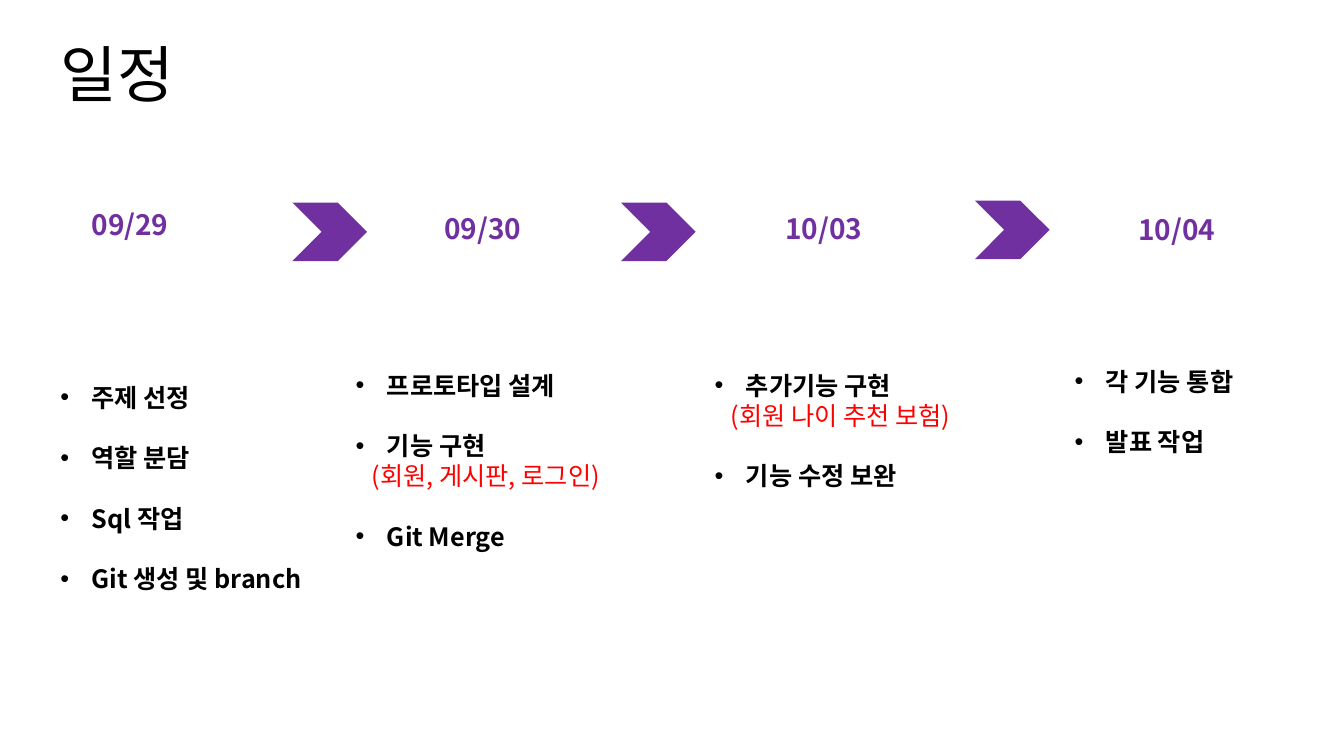
from lxml import etree
from pptx import Presentation
from pptx.dml import color
from pptx.enum import shapes, text
from pptx.oxml import ns
from pptx.util import Inches, Pt

FONT = "Noto Sans CJK KR"
PURPLE, BLACK, RED = "7030A0", "000000", "FF0000"
HANG = 0.31
NOTE_INDENT = 0.16

# Date, its left and top
DATES = [
    ("09/29", 0.81, 2.01),
    ("09/30", 4.31, 2.05),
    ("10/03", 7.69, 2.05),
    ("10/04", 11.19, 2.06),
]
# Left and top of each chevron
CHEVRONS = [(2.9, 2.01), (6.16, 2.01), (9.67, 1.99)]
# Left, top and height of each list, then its tasks with an optional note
TASKS = [
    (0.5, 3.74, 3.13, [("주제 선정", None), ("역할 분담", None),
                       ("Sql 작업", None), ("Git 생성 및 branch", None)]),
    (3.43, 3.62, 2.52, [("프로토타입 설계", None),
                        ("기능 구현", "(회원, 게시판, 로그인)"),
                        ("Git Merge", None)]),
    (6.99, 3.62, 2.83, [("추가기능 구현", "(회원 나이 추천 보험)"),
                        ("기능 수정 보완", None)]),
    (10.56, 3.58, 1.01, [("각 기능 통합", None), ("발표 작업", None)]),
]


def rgb(value):
    return color.RGBColor.from_string(value)


def write(para, words, size=18, ink=BLACK, bold=False, spacing=None):
    """Add a formatted run; lines are 1.2 times the size unless given."""
    para.line_spacing = spacing or Pt(size * 1.2)
    span = para.add_run()
    span.text = words
    span.font.name = FONT
    span.font.size = Pt(size)
    span.font.bold = bold
    span.font.color.rgb = rgb(ink)
    east_asian = etree.SubElement(span.font._element, ns.qn("a:ea"))
    east_asian.set("typeface", FONT)


def indent(para, margin, first=0.0, bullet=None):
    properties = para._p.get_or_add_pPr()
    properties.set("marL", str(Inches(margin)))
    properties.set("indent", str(Inches(first)))
    if bullet:
        face = etree.SubElement(properties, ns.qn("a:buFont"))
        face.set("typeface", "Arial")
        mark = etree.SubElement(properties, ns.qn("a:buChar"))
        mark.set("char", bullet)


def add_frame(page, left, top, width, height):
    box = page.shapes.add_textbox(Inches(left), Inches(top),
                                  Inches(width), Inches(height))
    box.text_frame.word_wrap = True
    return box.text_frame


def add_title(page, words):
    title = page.shapes.title
    title.left, title.top = Inches(0.5), Inches(0.3)
    title.width, title.height = Inches(9.78), Inches(0.93)
    frame = title.text_frame
    frame.vertical_anchor = text.MSO_ANCHOR.MIDDLE
    para = frame.paragraphs[0]
    para.alignment = text.PP_ALIGN.LEFT
    write(para, words, size=44, spacing=0.9)


def add_date(page, words, left, top):
    frame = add_frame(page, left, top, 3.24, 0.44)
    write(frame.paragraphs[0], words, size=20, ink=PURPLE, bold=True)


def add_chevron(page, left, top):
    chevron = page.shapes.add_shape(shapes.MSO_SHAPE.CHEVRON, Inches(left),
                                    Inches(top), Inches(0.74), Inches(0.58))
    chevron.shadow.inherit = False
    chevron.fill.solid()
    chevron.fill.fore_color.rgb = rgb(PURPLE)
    chevron.line.fill.background()


def add_tasks(page, left, top, height, tasks):
    frame = add_frame(page, left, top, 3.14, height)
    for number, (task, note) in enumerate(tasks):
        para = frame.add_paragraph() if number else frame.paragraphs[0]
        write(para, task, bold=True)
        if number:
            para.space_before = Pt(21.6)
        indent(para, HANG, -HANG, "•")
        if note:
            para = frame.add_paragraph()
            write(para, note, ink=RED)
            indent(para, NOTE_INDENT)


def main():
    deck = Presentation()
    deck.slide_width, deck.slide_height = Inches(13.33), Inches(7.5)
    page = deck.slides.add_slide(deck.slide_layouts[5])
    add_title(page, "일정")

    # Timeline
    for date in DATES:
        add_date(page, *date)
    for place in CHEVRONS:
        add_chevron(page, *place)

    # Tasks below each date
    for column in TASKS:
        add_tasks(page, *column)

    deck.save("out.pptx")


if __name__ == "__main__":
    main()
